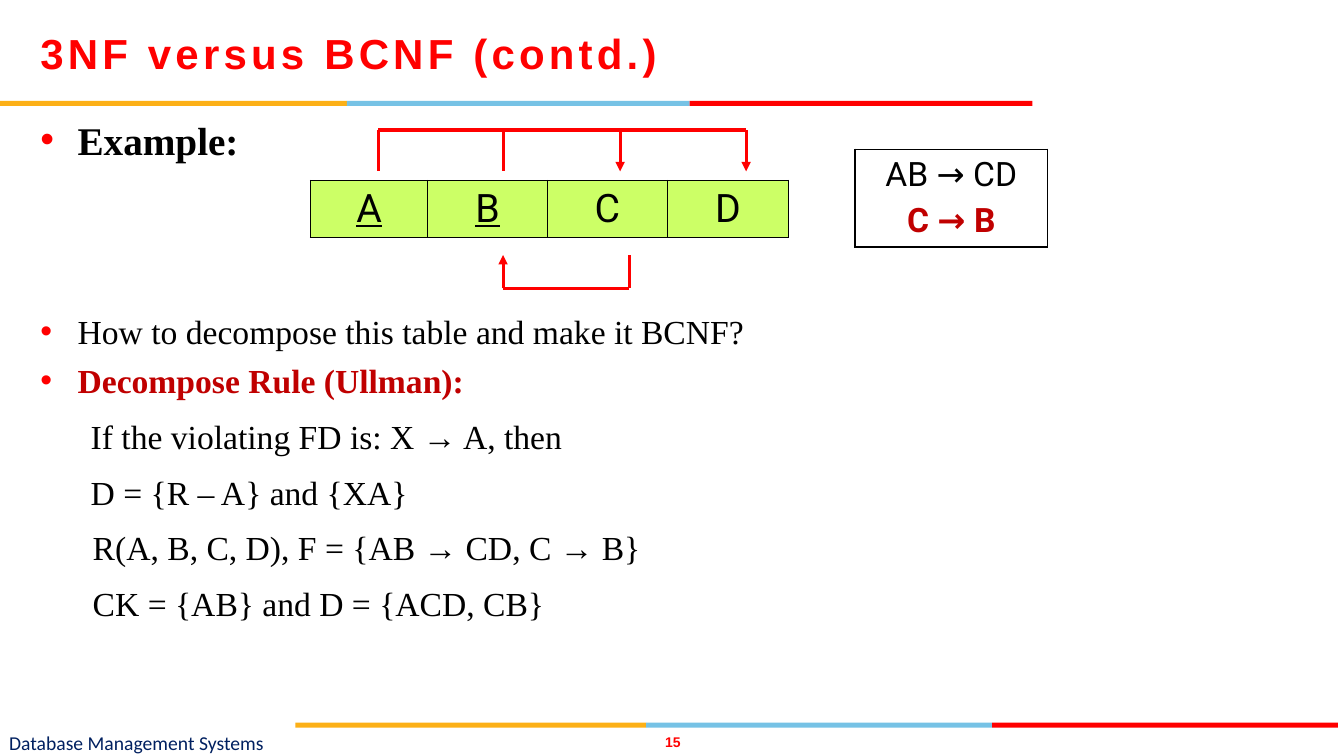
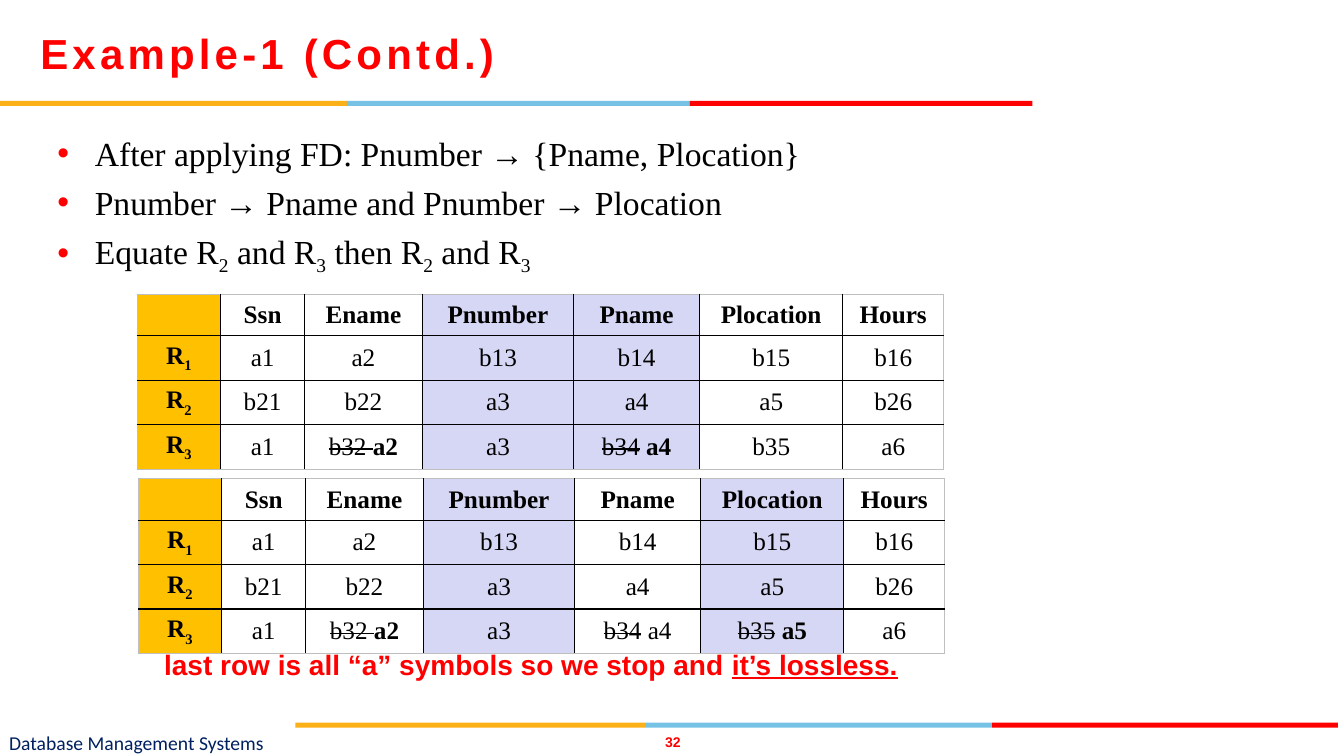
from collections import namedtuple

from lxml import etree
from pptx import Presentation
from pptx.dml.color import RGBColor
from pptx.enum.shapes import MSO_CONNECTOR, MSO_SHAPE
from pptx.enum.text import MSO_ANCHOR, PP_ALIGN
from pptx.oxml.ns import qn
from pptx.util import Inches, Pt

STRAIGHT = MSO_CONNECTOR.STRAIGHT
RECTANGLE = MSO_SHAPE.RECTANGLE
TOP, MIDDLE = MSO_ANCHOR.TOP, MSO_ANCHOR.MIDDLE
LEFT, CENTER = PP_ALIGN.LEFT, PP_ALIGN.CENTER

# Marks: b bold, u underline, s strike, d subscript
Run = namedtuple("Run", "text marks color", defaults=("", None))
Paragraph = namedtuple("Paragraph", "runs size before after left bullet",
                       defaults=(24, 0, 0, 0, False))


def rgb(value):
    return RGBColor.from_string(value)


def add_child(parent, tag, **attributes):
    return etree.SubElement(parent, qn(tag), attributes)


class Deck:
    RED, GOLD, BLUE = "FF0000", "FCB017", "76C2E5"
    DARK_RED, NAVY, BLACK, WHITE = "C00000", "002060", "000000", "FFFFFF"
    SERIF, SANS, CELL_FONT, FOOTER_FONT = "Times New Roman", "Arial", "Roboto", "Calibri"
    FOOTER = "Database Management Systems"
    HANGING = 0.37

    def __init__(self):
        self.presentation = Presentation()
        self.presentation.slide_width = Inches(13.33)
        self.presentation.slide_height = Inches(7.5)
        self.slide = None

    def add_slide(self, title, number):
        layout = self.presentation.slide_layouts[5]
        self.slide = self.presentation.slides.add_slide(layout)
        self.bands(0, 1, (3.44, 3.4, 3.4))
        self.bands(2.93, 7.17, (3.48, 3.43, 3.43))
        self.text(0.09, 7.23, 4.96, 0.27, [Paragraph([Run(self.FOOTER)], 14)],
                  self.FOOTER_FONT, self.NAVY, anchor=MIDDLE)
        self.text(6.51, 7.28, 0.33, 0.17, [Paragraph([Run(number, "b")], 10)],
                  self.SANS, self.RED, CENTER, MIDDLE)
        self.title(title)

    def title(self, text):
        shape = self.slide.shapes.title
        shape.left, shape.top = Inches(0.4), Inches(0.1)
        shape.width, shape.height = Inches(9.53), Inches(0.85)
        self.frame(shape.text_frame, MIDDLE)
        self.paragraphs(shape.text_frame, [Paragraph([Run(text, "b")], 30)],
                        self.SANS, self.RED)
        shape.text_frame.paragraphs[0].runs[0]._r.get_or_add_rPr().set("spc", "300")

    def bands(self, left, top, widths):
        for width, color in zip(widths, (self.GOLD, self.BLUE, self.RED)):
            shape = self.slide.shapes.add_shape(
                RECTANGLE, Inches(left), Inches(top), Inches(width), Inches(0.05))
            shape.shadow.inherit = False
            shape.fill.solid()
            shape.fill.fore_color.rgb = rgb(color)
            shape.line.fill.background()
            left += width

    def frame(self, frame, anchor, side=0, edge=0):
        frame.word_wrap = True
        frame.vertical_anchor = anchor
        frame.margin_left = frame.margin_right = Inches(side)
        frame.margin_top = frame.margin_bottom = Inches(edge)

    def text(self, left, top, width, height, paragraphs, font, color,
             align=LEFT, anchor=TOP, side=0, edge=0):
        box = self.slide.shapes.add_textbox(
            Inches(left), Inches(top), Inches(width), Inches(height))
        self.frame(box.text_frame, anchor, side, edge)
        self.paragraphs(box.text_frame, paragraphs, font, color, align)

    def paragraphs(self, frame, items, font, color, align=LEFT):
        for index, item in enumerate(items):
            paragraph = frame.add_paragraph() if index else frame.paragraphs[0]
            paragraph.alignment = align
            paragraph.space_before, paragraph.space_after = Pt(item.before), Pt(item.after)
            if item.left:
                self.indent(paragraph, item)
            for part in item.runs:
                self.run(paragraph, part, font, item.size, part.color or color)

    def indent(self, paragraph, item):
        properties = paragraph._p.get_or_add_pPr()
        properties.set("marL", str(Inches(item.left)))
        properties.set("indent", str(-Inches(self.HANGING) if item.bullet else 0))
        if item.bullet:
            add_child(add_child(properties, "a:buClr"), "a:srgbClr", val=self.RED)
            add_child(properties, "a:buFont", typeface=self.SANS)
            add_child(properties, "a:buChar", char="•")

    def run(self, paragraph, part, font, size, color):
        run = paragraph.add_run()
        run.text = part.text
        run.font.name, run.font.size = font, Pt(size)
        run.font.color.rgb = rgb(color)
        run.font.bold = "b" in part.marks
        run.font.underline = "u" in part.marks
        properties = run._r.get_or_add_rPr()
        if "s" in part.marks:
            properties.set("strike", "sngStrike")
        if "d" in part.marks:
            properties.set("baseline", "-25000")

    def table(self, left, top, widths, row_height, rows, font, fill_of, outer=BLACK):
        """Each cell is a list of paragraphs; fill_of gives a column's fill."""
        table = self.slide.shapes.add_table(
            len(rows), len(widths), Inches(left), Inches(top),
            Inches(sum(widths)), Inches(row_height * len(rows))).table
        table.first_row = table.horz_banding = False
        for column, width in zip(table.columns, widths):
            column.width = Inches(width)
        last_row, last_column = len(rows) - 1, len(widths) - 1
        for y, row in enumerate(rows):
            table.rows[y].height = Inches(row_height)
            for x, items in enumerate(row):
                cell = table.cell(y, x)
                cell.vertical_anchor = MIDDLE
                self.borders(cell, outer, (("a:lnL", x == 0), ("a:lnR", x == last_column),
                                           ("a:lnT", y == 0), ("a:lnB", y == last_row)))
                cell.fill.solid()
                cell.fill.fore_color.rgb = rgb(fill_of(x))
                self.paragraphs(cell.text_frame, items, font, self.BLACK, CENTER)

    def borders(self, cell, outer, sides):
        properties = cell._tc.get_or_add_tcPr()
        for tag, is_outer in sides:
            line = add_child(properties, tag, w=str(Pt(1)))
            fill = add_child(line, "a:solidFill")
            add_child(fill, "a:srgbClr", val=outer if is_outer else self.BLACK)

    def line(self, x1, y1, x2, y2, arrow=False):
        connector = self.slide.shapes.add_connector(
            STRAIGHT, Inches(x1), Inches(y1), Inches(x2), Inches(y2))
        connector.line.color.rgb = rgb(self.RED)
        connector.line.width = Pt(2.25)
        properties = connector._element.spPr
        if arrow:
            add_child(properties.get_or_add_ln(), "a:tailEnd", type="triangle")
        add_child(properties, "a:effectLst")


def bullet(runs, size=24, before=6, after=0):
    return Paragraph(runs, size, before, after, Deck.HANGING, True)


def build_decomposition(deck):
    deck.add_slide("3NF versus BCNF (contd.)", "15")

    # Body text
    steps = (("If the violating FD is: X → A, then", 0.5),
             ("D = {R – A} and {XA}", 0.5),
             ("R(A, B, C, D), F = {AB → CD, C → B}", 0.52),
             ("CK = {AB} and D = {ACD, CB}", 0.52))
    body = [bullet([Run("Example:", "b")], 28, 12),
            bullet([Run("How to decompose this table and make it BCNF?")], before=106),
            bullet([Run("Decompose Rule (Ullman):", "b", deck.DARK_RED)], after=6)]
    body += [Paragraph([Run(step)], 24, 5, 6, left) for step, left in steps]
    deck.text(0.4, 1.1, 11.1, 6, body, deck.SERIF, deck.BLACK, edge=0.05)

    # Relation, with its key underlined
    attributes = [[Paragraph([Run(name, "u" if name in "AB" else "")], 28)] for name in "ABCD"]
    deck.table(3.08, 1.79, (1.16, 1.19, 1.19, 1.2), 0.56, [attributes],
               deck.CELL_FONT, lambda column: "CCFF66")

    # Dependency AB → CD above the relation
    bar, foot = 1.29, 1.7
    a, b, c, d = 3.75, 4.99, 6.15, 7.4
    deck.line(a, bar, d, bar)
    for x in (a, b, c, d):
        deck.line(x, bar, x, foot, arrow=x in (c, d))

    # Dependency C → B below the relation
    start, top, bottom = 6.24, 2.53, 2.86
    deck.line(start, top, start, bottom)
    deck.line(b, bottom, start, bottom)
    deck.line(b, bottom, b, top, arrow=True)

    # List of dependencies
    dependencies = [Paragraph([Run("AB → CD")], before=5),
                    Paragraph([Run("C → B", "b", deck.DARK_RED)], before=5)]
    deck.table(8.48, 1.48, (1.91,), 0.95, [[dependencies]],
               deck.CELL_FONT, lambda column: deck.WHITE)


def build_lossless_test(deck):
    deck.add_slide("Example-1 (Contd.)", "32")

    # Applied dependencies
    equated = [Run("Equate R"), Run("2", "d"), Run(" and R"), Run("3", "d"),
               Run(" then R"), Run("2", "d"), Run(" and R"), Run("3", "d")]
    deck.text(0.57, 1.27, 11.58, 6,
              [bullet([Run("After applying FD: Pnumber → {Pname, Plocation}")]),
               bullet([Run("Pnumber → Pname and Pnumber → Plocation")]),
               bullet(equated)],
              deck.SERIF, deck.BLACK, edge=0.05)

    # Rows that both tables share
    def cell(*runs):
        return [Paragraph(runs, 18)]

    def relation(number, values):
        label = cell(Run("R", "b"), Run(number, "bd"))
        return [label] + [cell(Run(v)) if isinstance(v, str) else cell(*v) for v in values]

    names = ("", "Ssn", "Ename", "Pnumber", "Pname", "Plocation", "Hours")
    shared = [[cell(Run(name, "b")) if name else [] for name in names],
              relation("1", ("a1", "a2", "b13", "b14", "b15", "b16")),
              relation("2", ("b21", "b22", "a3", "a4", "a5", "b26"))]
    ename = (Run("b32 ", "s"), Run("a2", "b"))
    pname = (Run("b34", "s"), Run(" "), Run("a4", "b"))
    pname_done = (Run("b34", "s"), Run(" a4"))
    plocation = (Run("b35", "s"), Run(" "), Run("a5", "b"))

    # One table per step, with the compared columns tinted
    tables = ((1.36, 2.92, (3, 4), pname, "b35"),
              (1.37, 4.75, (3, 5), pname_done, plocation))
    for left, top, tinted, new_pname, new_plocation in tables:
        fills = {0: "FFC000", **dict.fromkeys(tinted, "D6D6F5")}
        last = relation("3", ("a1", ename, "a3", new_pname, new_plocation, "a6"))
        deck.table(left, top, (0.83, 0.83, 1.17, 1.5, 1.25, 1.42, 1), 0.41, shared + [last],
                   deck.SERIF, lambda column: fills.get(column, deck.WHITE), "BFBFBF")

    # Conclusion
    conclusion = [Run("last row is all “a” symbols so we stop and ", "b"),
                  Run("it’s lossless.", "bu")]
    deck.text(1.53, 6.37, 7.8, 0.44, [Paragraph(conclusion, 20)],
              deck.SANS, deck.RED, side=0.1, edge=0.05)


def main():
    deck = Deck()
    build_decomposition(deck)
    build_lossless_test(deck)
    deck.presentation.save("out.pptx")


if __name__ == "__main__":
    main()
